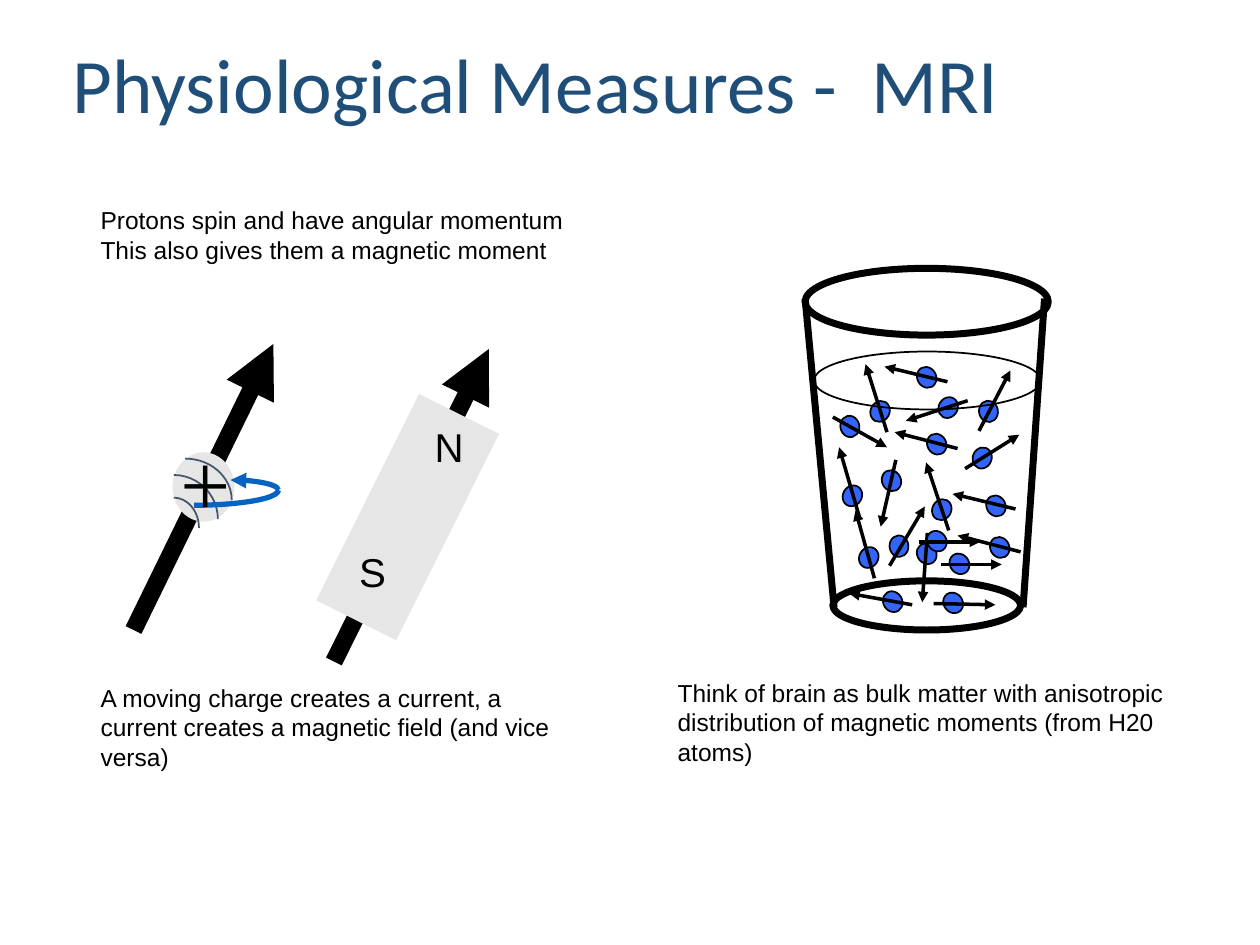
from lxml.etree import SubElement
from pptx import Presentation
from pptx.dml.color import RGBColor
from pptx.enum.shapes import MSO_CONNECTOR, MSO_SHAPE
from pptx.enum.text import MSO_ANCHOR, MSO_AUTO_SIZE
from pptx.oxml.ns import qn
from pptx.util import Inches, Pt

W, H = Inches(10), Inches(7.5)
COL, ROW = W / 100, H / 75  # fine grid: 100 columns by 75 rows

BLACK = RGBColor(0x00, 0x00, 0x00)
TITLE_BLUE = RGBColor(0x1F, 0x4E, 0x79)
PALE_GREY = RGBColor(0xE7, 0xE6, 0xE6)
SLATE = RGBColor(0x44, 0x54, 0x6A)
SPIN_BLUE = RGBColor(0x05, 0x63, 0xC1)
PROTON_BLUE = RGBColor(0x33, 0x65, 0xFB)

# Protons in the glass: left, top, rotation, arrow start, arrow end
PROTONS = [
    (77.7, 31.8, 352, (77.7, 34.2), (80.2, 29.4)),
    (66.6, 33.1, 76, (66.1, 33.1), (70.4, 35.5)),
    (73.5, 34.5, 241, (76, 35.6), (71, 34.3)),
    (70, 37.3, 153, (71.1, 36.5), (69.9, 41.8)),
    (72.8, 43.1, 143, (73.6, 42.3), (73.2, 47.8)),
    (73.9, 39.7, 299, (75.3, 42.1), (73.5, 36.7)),
    (68.1, 43.5, 301, (69.4, 45.9), (67.9, 40.5)),
    (75.3, 44, 52, (74.7, 44.8), (79.5, 44.8)),
    (77.2, 35.5, 21, (76.6, 37.2), (80.9, 34.5)),
    (74.5, 31.5, 210, (76.8, 31.8), (71.9, 33.4)),
    (78.2, 39.4, 241, (80.6, 40.4), (75.6, 39.2)),
    (70.6, 42.5, 355, (70.6, 44.9), (73.4, 40.2)),
    (78.5, 42.7, 241, (81, 43.8), (76, 42.5)),
    (70, 47, 238, (72.4, 48), (67.4, 47.1)),
    (74.8, 47.1, 52, (74.1, 47.9), (79, 48)),
    (72.7, 29.2, 241, (75.2, 30.3), (70.2, 29.1)),
    (69, 31.9, 299, (70.4, 34.3), (68.7, 28.9)),
    (66.8, 38.6, 301, (68.2, 41), (66.6, 35.5)),
    (73.5, 42.2, 52, (72.9, 43), (77.8, 43)),
]


def cells(left, top, width, height):
    """Turn grid columns and rows into lengths."""
    return [round(n * unit) for n, unit in
            zip((left, top, width, height), (COL, ROW, COL, ROW))]


def set_line(sp, color, width, end=None):
    sp.line.color.rgb = color
    sp.line.width = Pt(width)
    if end:
        SubElement(sp.line._get_or_add_ln(), qn("a:" + end), type="triangle")


def add_line(shapes, start, finish, width, end=None):
    points = cells(*start, *finish)
    cxn = shapes.add_connector(MSO_CONNECTOR.STRAIGHT, *points)
    set_line(cxn, BLACK, width, end)
    SubElement(cxn._element.spPr, qn("a:effectLst"))


def add_solid(shapes, kind, box, fill=None, line_width=None, rotation=0):
    sp = shapes.add_shape(kind, *cells(*box))
    sp.shadow.inherit = False
    sp.rotation = rotation
    if fill is None:
        sp.fill.background()
    else:
        sp.fill.solid()
        sp.fill.fore_color.rgb = fill
    if line_width:
        set_line(sp, BLACK, line_width)
    else:
        sp.line.fill.background()


def add_arc(shapes, center, radii, color, width, angles=(270, 0), end=None):
    (cx, cy), (rx, ry) = center, radii
    sp = shapes.add_shape(MSO_SHAPE.ARC, *cells(cx - rx, cy - ry, 2 * rx, 2 * ry))
    sp.shadow.inherit = False
    sp.fill.background()
    for i, angle in enumerate(angles):
        sp.adjustments[i] = angle * 0.6  # 60000ths of a degree, over 100000
    set_line(sp, color, width, end)


def add_text(shapes, box, text, size, font="Arial", color=BLACK, wrap=True, inset=None):
    tb = shapes.add_textbox(*cells(*box))
    tf = tb.text_frame
    tf.word_wrap = wrap
    tf.auto_size = MSO_AUTO_SIZE.SHAPE_TO_FIT_TEXT
    if inset:
        tf.margin_left = tf.margin_right = Inches(inset)
        tf.margin_top = tf.margin_bottom = Inches(inset / 2)
    tf.text = text
    for p in tf.paragraphs:
        for r in p.runs:
            r.font.size, r.font.name = Pt(size), font
            r.font.color.rgb = color
    return tf


def add_title(shapes):
    tf = add_text(shapes, (4.8, 0.8, 90, 12.5), "Physiological Measures -  MRI",
                  44, "Calibri", TITLE_BLUE)
    tf.auto_size = MSO_AUTO_SIZE.NONE
    tf.vertical_anchor = MSO_ANCHOR.MIDDLE
    tf.paragraphs[0].line_spacing = 0.9


def add_spinning_proton(shapes):
    add_line(shapes, (10.6, 50), (21.7, 27.3), 10, "tailEnd")
    add_solid(shapes, MSO_SHAPE.OVAL, (13.7, 35.9, 4.9, 5.5), PALE_GREY)
    # Shading on the ball
    for center, radii in [((14.7, 39.7), (3.7, 3.3)),
                          ((13.8, 41.2), (3.5, 3.5)),
                          ((13.8, 41.9), (2, 2.4))]:
        add_arc(shapes, center, radii, SLATE, 1)
    # Direction of spin
    add_arc(shapes, (18.3, 38.9), (3.8, 0.8), SPIN_BLUE, 3, end="headEnd")
    add_arc(shapes, (15.4, 38.9), (6.7, 1.2), SPIN_BLUE, 3, angles=(0, 90))
    add_text(shapes, (13.7, 33.6, 5.3, 9.1), "+", 51, "Times New Roman",
             wrap=False, inset=0.06)


def add_bar_magnet(shapes):
    add_line(shapes, (26.5, 52.5), (38.8, 27.7), 10, "tailEnd")
    add_solid(shapes, MSO_SHAPE.RECTANGLE, (28.8, 31.9, 7.1, 18.3), PALE_GREY, rotation=26.5)
    for pole, left, top in [("N", 33.9, 33.2), ("S", 27.9, 43.1)]:
        add_text(shapes, (left, top, 3.5, 4.5), pole, 23, wrap=False, inset=0.06)


def add_glass(shapes):
    # Rim, base and sides
    add_solid(shapes, MSO_SHAPE.OVAL, (63.9, 21.3, 19.3, 5.3), line_width=4)
    add_solid(shapes, MSO_SHAPE.OVAL, (66.1, 46.1, 14.9, 3.9), line_width=4)
    add_line(shapes, (66.2, 48.2), (63.9, 23.7), 4)
    add_line(shapes, (81.2, 48.2), (82.9, 23.7), 4)
    # Protons, each with its magnetic moment
    for left, top, rotation, start, finish in PROTONS:
        sideways = 45 < rotation % 180 < 135
        size = (1.7, 1.5) if sideways else (1.5, 1.7)
        add_solid(shapes, MSO_SHAPE.OVAL, (left, top, *size), PROTON_BLUE, 1, rotation)
        add_line(shapes, start, finish, 2, "tailEnd")
    # Water surface
    add_solid(shapes, MSO_SHAPE.OVAL, (64.6, 27.9, 18, 4.6), line_width=1)


def main():
    prs = Presentation()
    prs.slide_width, prs.slide_height = W, H
    s = prs.slides.add_slide(prs.slide_layouts[6])
    add_title(s.shapes)
    # Drawings, one group each
    for draw in (add_spinning_proton, add_bar_magnet, add_glass):
        draw(s.shapes.add_group_shape().shapes)
    # Explanations
    add_text(s.shapes, (7, 53.7, 37.7, 10.1),
             "A moving charge creates a current, a current creates "
             "a magnetic field (and vice versa)", 14)
    add_text(s.shapes, (7, 15.8, 45.7, 7.1),
             "Protons spin and have angular momentum\n"
             "This also gives them a magnetic moment", 14, wrap=False)
    add_text(s.shapes, (52.8, 53.3, 42.7, 10.1),
             "Think of brain as bulk matter with anisotropic distribution "
             "of magnetic moments (from H20 atoms)", 14)
    prs.save("out.pptx")


if __name__ == "__main__":
    main()
